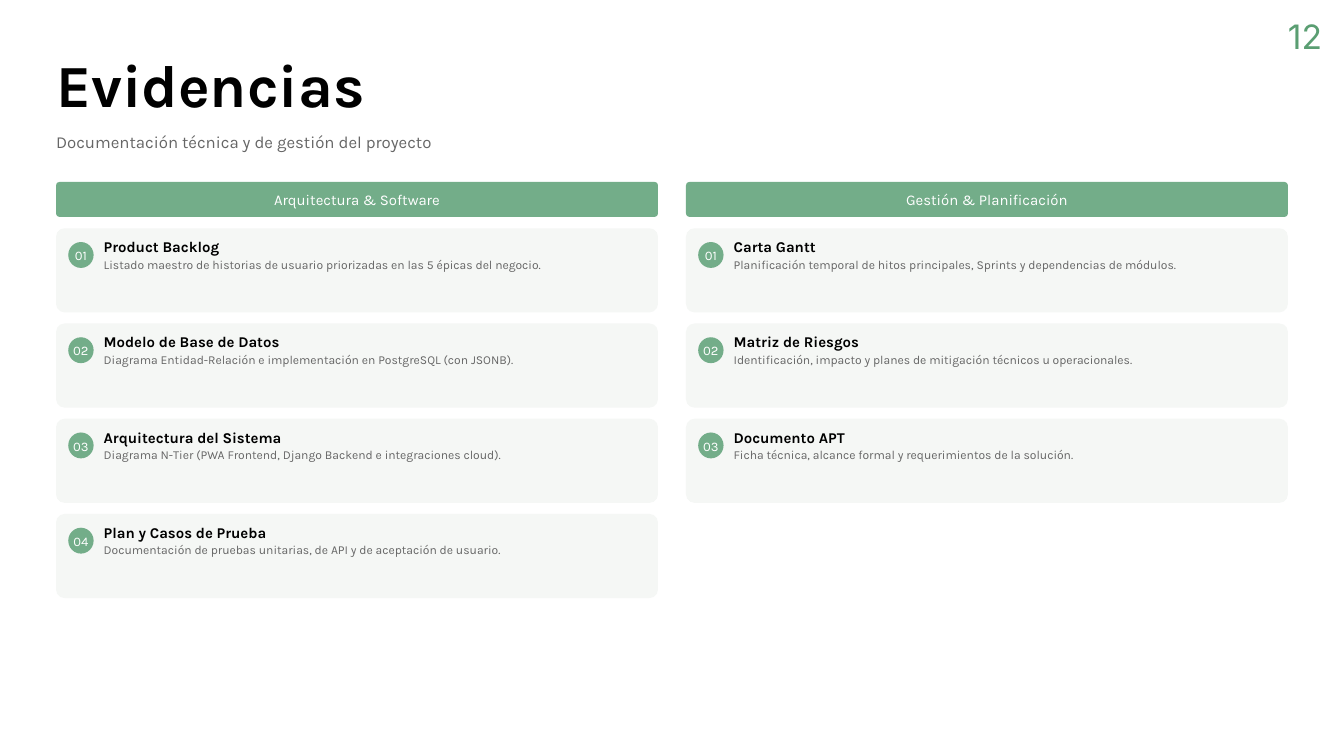
from dataclasses import dataclass, field

import pptx
import pptx.dml.color
import pptx.enum.shapes
import pptx.enum.text
import pptx.util

Cm = pptx.util.Cm
RGB = pptx.dml.color.RGBColor
SHAPE = pptx.enum.shapes.MSO_SHAPE
ALIGN = pptx.enum.text.PP_ALIGN
ANCHOR = pptx.enum.text.MSO_ANCHOR


@dataclass(frozen=True)
class Style:
    size: float
    leading: float
    color: str
    bold: bool = False
    font: str = "Karla"
    align: int = ALIGN.LEFT


@dataclass(frozen=True)
class Theme:
    green: str = "73AD89"
    card: str = "F5F7F5"
    title: Style = Style(64, 70.4, "000000", bold=True)
    subtitle: Style = Style(18, 25.2, "666666")
    header: Style = Style(16, 22.4, "FFFFFF", align=ALIGN.CENTER)
    badge: Style = Style(14, 19.6, "FFFFFF", align=ALIGN.CENTER)
    item: Style = Style(16, 19.2, "000000", bold=True)
    detail: Style = Style(13, 18.2, "666666")
    page: Style = Style(36, 50.4, "5A9E72", font="Inter")


@dataclass(frozen=True)
class Evidence:
    name: str
    detail: str


@dataclass(frozen=True)
class Column:
    header: str
    items: list[Evidence] = field(default_factory=list)


THEME = Theme()

# Layout in centimetres
LEFT, COL_W, COL_STEP = 2.12, 22.75, 23.81
HEADER_TOP, HEADER_H = 6.88, 1.32
CARD_TOP, CARD_H, CARD_STEP = 8.63, 3.18, 3.6
TEXT_DX, TEXT_W, TEXT_H = 1.8, 20.42, 0.66

COLUMNS = [
    Column("Arquitectura & Software", [
        Evidence("Product Backlog",
                 "Listado maestro de historias de usuario priorizadas en las 5 épicas del negocio."),
        Evidence("Modelo de Base de Datos",
                 "Diagrama Entidad-Relación e implementación en PostgreSQL (con JSONB)."),
        Evidence("Arquitectura del Sistema",
                 "Diagrama N-Tier (PWA Frontend, Django Backend e integraciones cloud)."),
        Evidence("Plan y Casos de Prueba",
                 "Documentación de pruebas unitarias, de API y de aceptación de usuario."),
    ]),
    Column("Gestión & Planificación", [
        Evidence("Carta Gantt",
                 "Planificación temporal de hitos principales, Sprints y dependencias de módulos."),
        Evidence("Matriz de Riesgos",
                 "Identificación, impacto y planes de mitigación técnicos u operacionales."),
        Evidence("Documento APT",
                 "Ficha técnica, alcance formal y requerimientos de la solución."),
    ]),
]


def write(sp, text: str, style: Style, anchor=ANCHOR.TOP, wrap: bool = True,
          bottom: float = 0) -> None:
    """Fill a shape with one styled paragraph."""
    tf = sp.text_frame
    frame = {
        "margin_left": 0, "margin_top": 0, "margin_right": 0,
        "margin_bottom": Cm(bottom), "vertical_anchor": anchor,
        "word_wrap": wrap, "auto_size": pptx.enum.text.MSO_AUTO_SIZE.NONE,
    }
    for name, value in frame.items():
        setattr(tf, name, value)
    p = tf.paragraphs[0]
    p.alignment = style.align
    p.line_spacing = pptx.util.Pt(style.leading)
    r = p.add_run()
    r.text = text
    font = {"name": style.font, "size": pptx.util.Pt(style.size), "bold": style.bold}
    for name, value in font.items():
        setattr(r.font, name, value)
    r.font.color.rgb = RGB.from_string(style.color)


def add_text(slide, x: float, y: float, w: float, h: float, text: str, style: Style) -> None:
    write(slide.shapes.add_textbox(Cm(x), Cm(y), Cm(w), Cm(h)), text, style)


def add_block(slide, kind, x: float, y: float, w: float, h: float, color: str):
    sp = slide.shapes.add_shape(kind, Cm(x), Cm(y), Cm(w), Cm(h))
    sp.shadow.inherit = False
    sp.fill.solid()
    sp.fill.fore_color.rgb = RGB.from_string(color)
    sp.line.fill.background()
    if kind == SHAPE.ROUNDED_RECTANGLE:
        sp.adjustments[0] = 0.1
    return sp


def add_card(slide, x: float, y: float, number: int, item: Evidence) -> None:
    add_block(slide, SHAPE.ROUNDED_RECTANGLE, x, y, COL_W, CARD_H, THEME.card)
    badge = add_block(slide, SHAPE.OVAL, x + 0.46, y + 0.52, 0.96, 0.98, THEME.green)
    write(badge, f"{number:02}", THEME.badge, ANCHOR.MIDDLE, wrap=False, bottom=0.06)
    add_text(slide, x + TEXT_DX, y + 0.36, TEXT_W, TEXT_H, item.name, THEME.item)
    add_text(slide, x + TEXT_DX, y + 1, TEXT_W, TEXT_H, item.detail, THEME.detail)


def add_column(slide, x: float, column: Column) -> None:
    header = add_block(slide, SHAPE.ROUNDED_RECTANGLE, x, HEADER_TOP, COL_W, HEADER_H,
                       THEME.green)
    write(header, column.header, THEME.header, ANCHOR.MIDDLE, bottom=0.1)
    for i, item in enumerate(column.items):
        add_card(slide, x, CARD_TOP + i * CARD_STEP, i + 1, item)


def main() -> None:
    prs = pptx.Presentation()
    prs.slide_width, prs.slide_height = Cm(50.8), Cm(28.58)
    slide = prs.slides.add_slide(prs.slide_layouts[5])  # Title Only

    # Heading
    title = slide.shapes.title
    title.left, title.top, title.width, title.height = Cm(LEFT), Cm(2.03), Cm(21.16), Cm(2.54)
    write(title, "Evidencias", THEME.title)
    add_text(slide, LEFT, 4.85, 21.16, 0.84,
             "Documentación técnica y de gestión del proyecto", THEME.subtitle)

    # Evidence columns
    for i, column in enumerate(COLUMNS):
        add_column(slide, LEFT + i * COL_STEP, column)

    # Page number
    add_text(slide, 48.68, 0.34, 1.69, 1.72, "12", THEME.page)

    prs.save("out.pptx")


if __name__ == "__main__":
    main()
